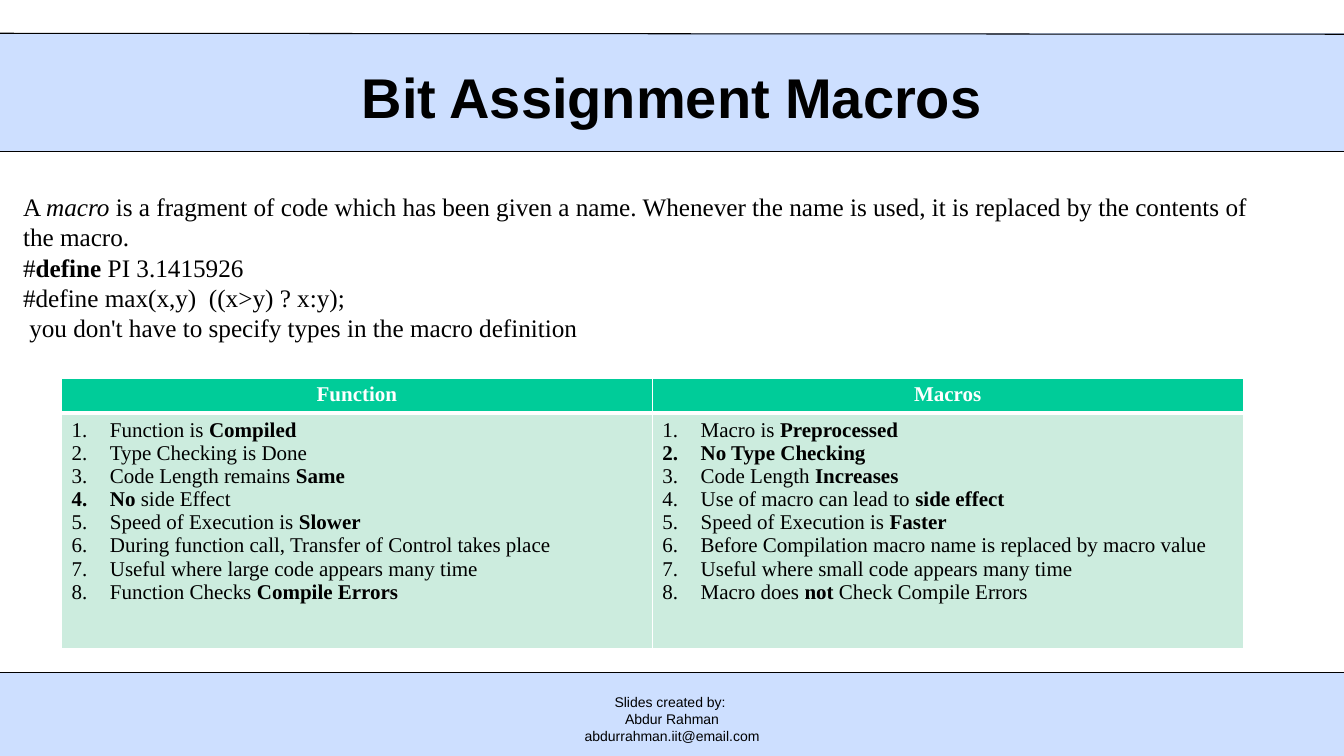
from lxml.etree import SubElement
from pptx import Presentation
from pptx.dml.color import RGBColor
from pptx.enum.shapes import MSO_CONNECTOR, MSO_SHAPE
from pptx.enum.text import MSO_ANCHOR, PP_ALIGN
from pptx.oxml.ns import qn
from pptx.util import Inches, Pt

COLORS = {
    "band": "CDDFFF",
    "ink": "000000",
    "white": "FFFFFF",
    "header": "00CC99",
    "body": "CCECDE",
}
SLIDE_WIDTH = 13.33
SERIF = "Times New Roman"
SANS = "Arial"

INTRO = [
    ("A *macro* is a fragment of code which has been given a name. "
     "Whenever the name is used, it is replaced by the contents of the macro.", "italic"),
    ("#*define* PI 3.1415926", "bold"),
    ("#define max(x,y)  ((x>y) ? x:y);", "bold"),
    (" you don't have to specify types in the macro definition", "bold"),
]
CREDITS = ["Slides created by: ", "Abdur Rahman", "abdurrahman.iit@email.com"]
COMPARISON = {
    "Function": [
        "Function is *Compiled*",
        "Type Checking is Done",
        "Code Length remains *Same*",
        "*No* side Effect",
        "Speed of Execution is *Slower*",
        "During function call, Transfer of Control takes place",
        "Useful where large code appears many time",
        "Function Checks *Compile Errors*",
    ],
    "Macros": [
        "Macro is *Preprocessed*",
        "*No Type Checking*",
        "Code Length *Increases*",
        "Use of macro can lead to *side effect*",
        "Speed of Execution is *Faster*",
        "Before Compilation macro name is replaced by macro value",
        "Useful where small code appears many time",
        "Macro does *not* Check Compile Errors",
    ],
}


def color(name):
    return RGBColor.from_string(COLORS[name])


def add_band(slide, top, height):
    band = slide.shapes.add_shape(
        MSO_SHAPE.RECTANGLE, 0, Inches(top), Inches(SLIDE_WIDTH), Inches(height))
    band.shadow.inherit = False
    band.fill.solid()
    band.fill.fore_color.rgb = color("band")
    band.line.color.rgb = color("band")
    band.line.width = Pt(0.75)


def add_rule(slide, start_y, end_y):
    rule = slide.shapes.add_connector(
        MSO_CONNECTOR.STRAIGHT, 0, Inches(start_y), Inches(SLIDE_WIDTH), Inches(end_y))
    rule.line.color.rgb = color("ink")
    rule.line.width = Pt(0.75)
    SubElement(rule._element.spPr, qn("a:effectLst"))


def write_paragraph(paragraph, text, font_name, size, ink="ink", emphasis="bold",
                    align=PP_ALIGN.LEFT):
    paragraph.alignment = align
    font = paragraph.font
    font.name, font.size = font_name, Pt(size)
    font.color.rgb = color(ink)
    for index, part in enumerate(text.split("*")):
        if part:
            run = paragraph.add_run()
            run.text = part
            if index % 2:
                setattr(run.font, emphasis, True)


def next_paragraph(frame, index):
    return frame.add_paragraph() if index else frame.paragraphs[0]


def add_text(slide, left, top, width, height, lines, font_name, size,
             align=PP_ALIGN.LEFT, anchor=MSO_ANCHOR.TOP):
    box = slide.shapes.add_textbox(
        Inches(left), Inches(top), Inches(width), Inches(height))
    frame = box.text_frame
    frame.word_wrap = True
    frame.vertical_anchor = anchor
    for index, (text, emphasis) in enumerate(lines):
        write_paragraph(next_paragraph(frame, index), text, font_name, size,
                        emphasis=emphasis, align=align)


def number_paragraph(paragraph):
    properties = paragraph._p.get_or_add_pPr()
    indent = Inches(0.38)
    properties.set("marL", str(indent))
    properties.set("indent", str(-indent))
    numbering = properties.makeelement(qn("a:buAutoNum"), {"type": "arabicPeriod"})
    properties.insert(0, numbering)


def style_cell(cell, fill, top_width=1, bottom_width=1):
    properties = cell._tc.get_or_add_tcPr()
    widths = {"a:lnL": 1, "a:lnR": 1, "a:lnT": top_width, "a:lnB": bottom_width}
    for side, width in widths.items():
        line = SubElement(properties, qn(side), w=str(Pt(width)))
        solid = SubElement(line, qn("a:solidFill"))
        SubElement(solid, qn("a:srgbClr"), val=COLORS["white"])
    cell.fill.solid()
    cell.fill.fore_color.rgb = color(fill)


def add_comparison(slide):
    table = slide.shapes.add_table(
        2, len(COMPARISON), Inches(0.61), Inches(3.75), Inches(11.72), Inches(2.67)).table
    table.rows[0].height = Inches(0.34)
    table.rows[1].height = Inches(2.33)
    for column, (heading, points) in enumerate(COMPARISON.items()):
        header, body = table.cell(0, column), table.cell(1, column)
        style_cell(header, "header", bottom_width=3)
        style_cell(body, "body", top_width=3)
        write_paragraph(header.text_frame.paragraphs[0], f"*{heading}*", SERIF, 15,
                        "white", align=PP_ALIGN.CENTER)
        for index, point in enumerate(points):
            paragraph = next_paragraph(body.text_frame, index)
            write_paragraph(paragraph, point, SERIF, 15)
            number_paragraph(paragraph)


def main():
    presentation = Presentation()
    presentation.slide_width = Inches(SLIDE_WIDTH)
    presentation.slide_height = Inches(7.5)
    slide = presentation.slides.add_slide(presentation.slide_layouts[6])

    add_band(slide, 6.67, 0.83)
    add_band(slide, 0.33, 1.17)
    for start_y, end_y in [(0.33, 0.34), (1.5, 1.5), (6.67, 6.67)]:
        add_rule(slide, start_y, end_y)

    add_text(slide, 1, 0.24, 11.32, 1.43, [("*Bit Assignment Macros*", "bold")],
             SANS, 40, PP_ALIGN.CENTER, MSO_ANCHOR.MIDDLE)
    add_text(slide, 4.56, 6.83, 4.21, 0.49, [(line, "bold") for line in CREDITS],
             SANS, 10, PP_ALIGN.CENTER)
    add_text(slide, 0.13, 1.85, 12.45, 1.62, INTRO, SERIF, 18)
    add_comparison(slide)
    presentation.save("out.pptx")


if __name__ == "__main__":
    main()
